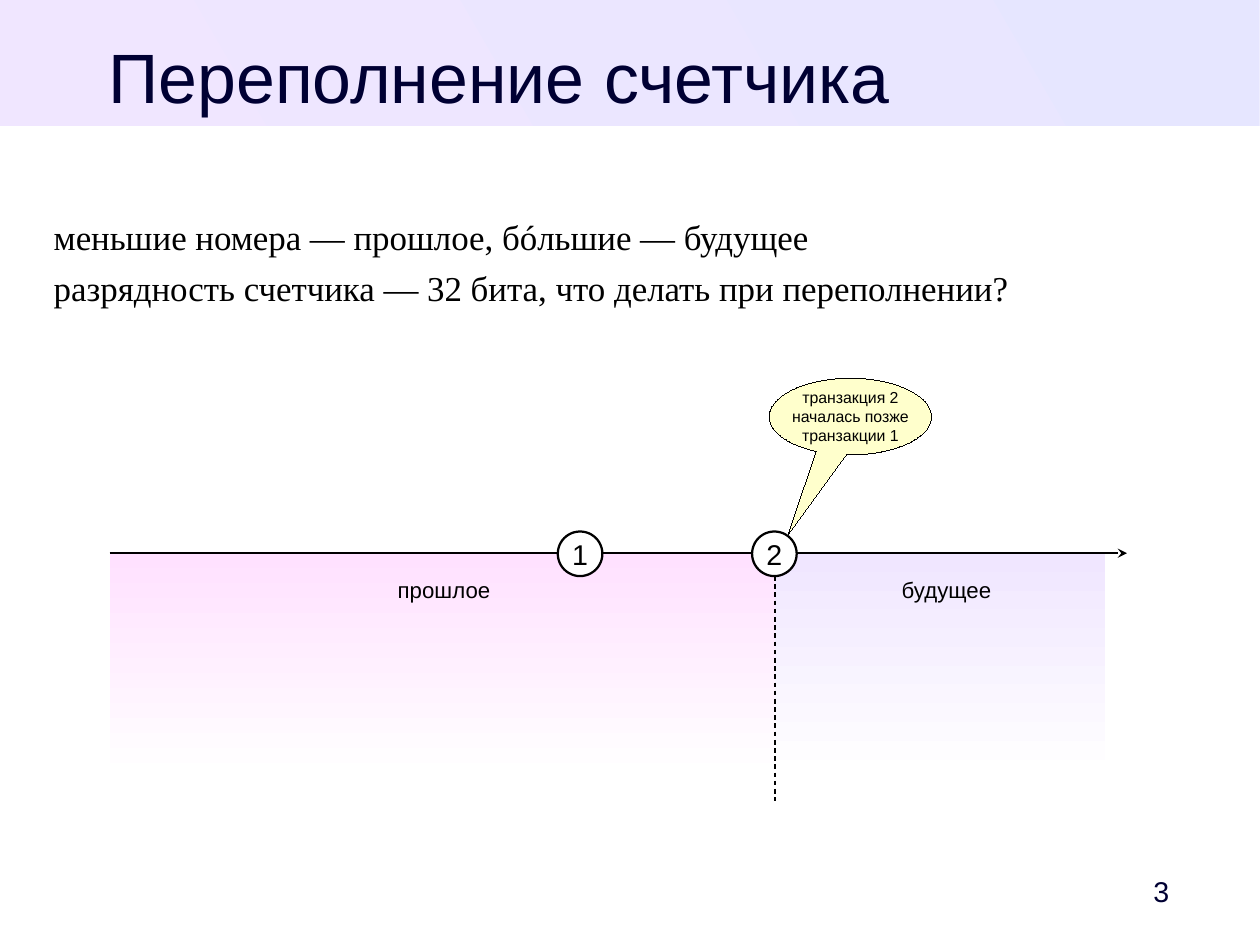
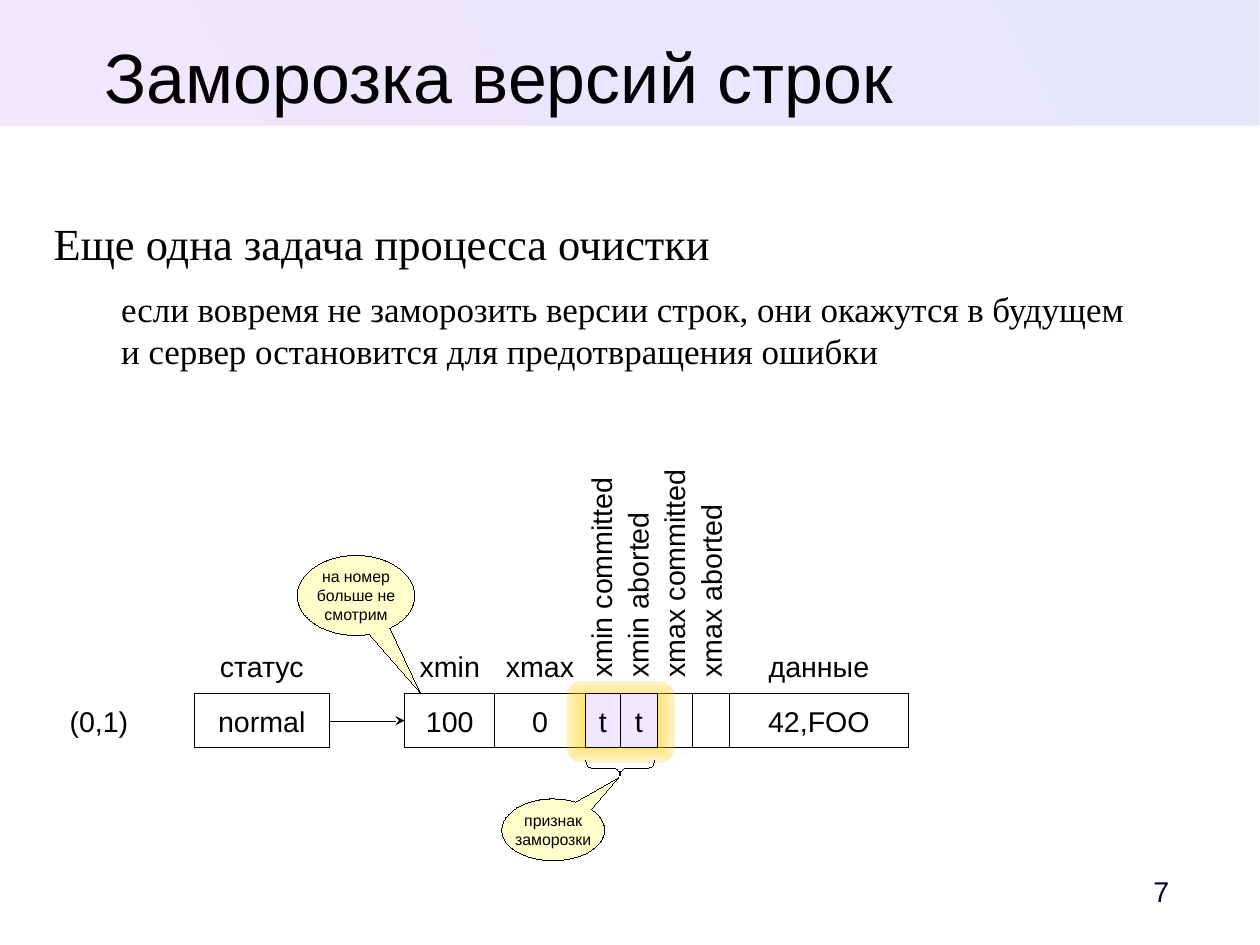
from lxml import etree
from pptx import Presentation, util as u
from pptx.dml.color import RGBColor
from pptx.enum import dml, shapes, text
from pptx.oxml.ns import qn

C = {"black": "000000", "white": "FFFFFF", "navy": "000033",
     "lilac": "F0E6FF", "blue": "E6E6FF", "pink": "FFE1FF",
     "note": "FFFFCC", "glow": "FFCC00"}
RECT = shapes.MSO_SHAPE.RECTANGLE
OVAL = shapes.MSO_SHAPE.OVAL
CALLOUT = shapes.MSO_SHAPE.OVAL_CALLOUT
ALIGN = {"l": text.PP_ALIGN.LEFT, "c": text.PP_ALIGN.CENTER, "r": text.PP_ALIGN.RIGHT}
ANCHOR = {"t": text.MSO_ANCHOR.TOP, "m": text.MSO_ANCHOR.MIDDLE}


def add_box(s, kind, at, words="", fill=None, angle=270, line=None, adj=(), rot=0,
            size=18, font="Arial", color="black", align="c", anchor="m",
            wrap=False, ins=(0.05, 0.05, 0.05, 0.05)):
    """Add a shape, or a text box if kind is None; each line is a paragraph."""
    at = [u.Inches(v) for v in at]
    sp = s.shapes.add_shape(kind, *at) if kind else s.shapes.add_textbox(*at)
    sp.shadow.inherit = False
    sp.rotation = rot
    for i, value in enumerate(adj):
        sp.adjustments[i] = value
    if isinstance(fill, tuple):
        sp.fill.gradient()
        sp.fill.gradient_angle = angle
        for stop, name in zip(sp.fill.gradient_stops, fill):
            stop.color.rgb = RGBColor.from_string(C[name])
    elif fill:
        sp.fill.solid()
        sp.fill.fore_color.rgb = RGBColor.from_string(C[fill])
    else:
        sp.fill.background()
    if line is None:
        sp.line.fill.background()
    else:
        sp.line.color.rgb = RGBColor.from_string(C["black"])
        # A hairline needs its zero width written out
        sp._element.spPr.find(qn("a:ln")).set("w", str(u.Pt(line)))
    if words:
        tf = sp.text_frame
        tf.word_wrap = wrap
        tf.vertical_anchor = ANCHOR[anchor]
        tf.margin_left, tf.margin_top, tf.margin_right, tf.margin_bottom = map(u.Inches, ins)
        for i, row in enumerate(words.split("\n")):
            p = tf.add_paragraph() if i else tf.paragraphs[0]
            p.text = row
            p.alignment = ALIGN[align]
            for r in p.runs:
                r.font.size = u.Pt(size)
                r.font.name = font
                r.font.color.rgb = RGBColor.from_string(C[color])
    return sp


def add_line(s, x1, y1, x2, y2, width, arrow=False, dash=None):
    cx = s.shapes.add_connector(shapes.MSO_CONNECTOR.STRAIGHT,
                                *[u.Inches(v) for v in (x1, y1, x2, y2)])
    cx.line.color.rgb = RGBColor.from_string(C["black"])
    if dash:
        cx.line.dash_style = dash
    spPr = cx._element.spPr
    ln = spPr.find(qn("a:ln"))
    ln.set("w", str(u.Pt(width)))
    if arrow:
        etree.SubElement(ln, qn("a:tailEnd"), type="stealth")
    etree.SubElement(spPr, qn("a:effectLst"))
    return cx


# The page is 28 by 21 cm
prs = Presentation()
prs.slide_width = u.Inches(28 / 2.54)
prs.slide_height = u.Inches(21 / 2.54)

# Title, title colour, page number, body rows (text, size, space after, indent)
pages = [
    ("Переполнение счетчика", "navy", "3", [
        ("меньшие номера — прошлое, бóльшие — будущее", 22, 5.7, 0),
        ("разрядность счетчика — 32 бита, что делать при переполнении?", 22, 14.2, 0)]),
    ("Заморозка версий строк", "black", "7", [
        ("Еще одна задача процесса очистки", 28, 11.3, 0),
        ("если вовремя не заморозить версии строк, они окажутся в будущем\v"
         "и сервер остановится для предотвращения ошибки", 22, 11.3, 0.59)]),
]

# Band, page number, title and body of every slide
for title, color, number, rows in pages:
    s = prs.slides.add_slide(prs.slide_layouts[6])
    add_box(s, RECT, (0, 0, 11.02, 1.1), fill=("blue", "lilac"), angle=210)
    add_box(s, None, (9.69, 7.56, 0.87, 0.47), number, color="navy", align="r",
            wrap=True, ins=(0.1, 0.05, 0.33, 0.05))
    add_box(s, None, (0.47, 0.29, 7.8, 0.69), title, size=44, color=color,
            anchor="t", wrap=True, ins=(0, 0, 0, 0))
    body = add_box(s, None, (0.47, 1.89, 10.08, 5.71), "\n".join(row[0] for row in rows),
                   font="Times New Roman", align="l", anchor="t", wrap=True, ins=(0, 0, 0, 0))
    for p, (_, size, after, indent) in zip(body.text_frame.paragraphs, rows):
        p.space_after = u.Pt(after)
        p._p.get_or_add_pPr().set("marL", str(u.Inches(indent)))
        for r in p.runs:
            r.font.size = u.Pt(size)

# Slide 1: past and future on a time axis
s = prs.slides[0]
axis_y, now_x = 4.84, 6.78
add_box(s, RECT, (0.96, axis_y, 5.82, 1.97), fill=("pink", "white"))
add_box(s, RECT, (now_x, axis_y, 2.89, 1.97), fill=("lilac", "white"))
add_line(s, 0.96, axis_y, 9.86, axis_y, 1.42, arrow=True)
for number, x in (("1", 4.88), ("2", 6.58)):
    add_box(s, OVAL, (x, 4.65, 0.39, 0.39), number, fill="white", line=1.42)
add_line(s, now_x, 5.04, now_x, 7.01, 0.75, dash=dml.MSO_LINE.DASH)
add_box(s, CALLOUT, (6.73, 3.31, 1.42, 0.67), "транзакция 2\nначалась позже\nтранзакции 1",
        fill="note", line=0, adj=(-0.386, 1.548), size=10)
for label, x, w in (("прошлое", 3.38, 1.01), ("будущее", 7.79, 0.98)):
    add_box(s, None, (x, 4.99, w, 0.32), label, size=14, anchor="t")

# Slide 2: layout of a row version
s = prs.slides[1]
head_y, row_y, row_h = 5.59, 6.07, 0.47
flags = ("xmin committed", "xmin aborted", "xmax committed", "xmax aborted")
for i, flag in enumerate(flags):
    add_box(s, None, (4.21 + 0.32 * i, 4.81, 2.09, 0.34), flag, rot=270, align="l",
            wrap=True, ins=(0.1, 0.05, 0.1, 0.05))

# Pointer cell and its arrow to the row
add_box(s, None, (0.47, row_y, 0.79, row_h), "(0,1)")
add_box(s, None, (1.7, head_y, 1.18, row_h), "статус")
status = add_box(s, RECT, (1.7, row_y, 1.18, row_h), "normal", fill="white", line=0)

# Row cells: heading, value, width; the frozen ones lie over the glow
columns = [("xmin", "100", 0.79), ("xmax", "0", 0.79), ("", "t", 0.31), ("", "t", 0.32),
           ("", "", 0.31), ("", "", 0.32), ("данные", "42,FOO", 1.57)]
cells = {}
for frozen in (False, True):
    if frozen:
        glow = add_box(s, shapes.MSO_SHAPE.ROUNDED_RECTANGLE, (4.96, 5.96, 0.94, 0.71),
                       fill=("glow", "glow"), adj=(0.207,))
        grad = glow._element.spPr.find(qn("a:gradFill"))
        grad.remove(grad.find(qn("a:lin")))
        shade = etree.Element(qn("a:path"), path="rect")
        etree.SubElement(shade, qn("a:fillToRect"), l="50000", t="50000", r="50000", b="50000")
        grad.find(qn("a:gsLst")).addnext(shade)
        outer = grad.findall(".//" + qn("a:srgbClr"))[-1]
        etree.SubElement(outer, qn("a:alpha"), val="20000")
    x = 3.54
    for i, (heading, value, w) in enumerate(columns):
        if (value == "t") == frozen:
            cells[i] = add_box(s, RECT, (x, row_y, w, row_h), value,
                               fill="lilac" if frozen else "white", line=0)
            if heading:
                add_box(s, None, (x, head_y, w, row_h), heading)
        x += w
arrow = add_line(s, 2.88, 6.3, 3.54, 6.3, 0, arrow=True)
arrow.begin_connect(status, 3)
arrow.end_connect(cells[0], 1)

# Brace and remarks
add_box(s, shapes.MSO_SHAPE.RIGHT_BRACE, (5.36, 6.42, 0.13, 0.6), line=0, adj=(0.4, 0.5), rot=90)
for at, adj, words in (
        ((4.39, 6.99, 0.9, 0.54), (0.634, -0.844), "признак\nзаморозки"),
        ((2.6, 4.86, 1.03, 0.7), (0.546, 1.213), "на номер\nбольше не\nсмотрим")):
    add_box(s, CALLOUT, at, words, fill="note", line=0, adj=adj, size=10)

prs.save("out.pptx")
